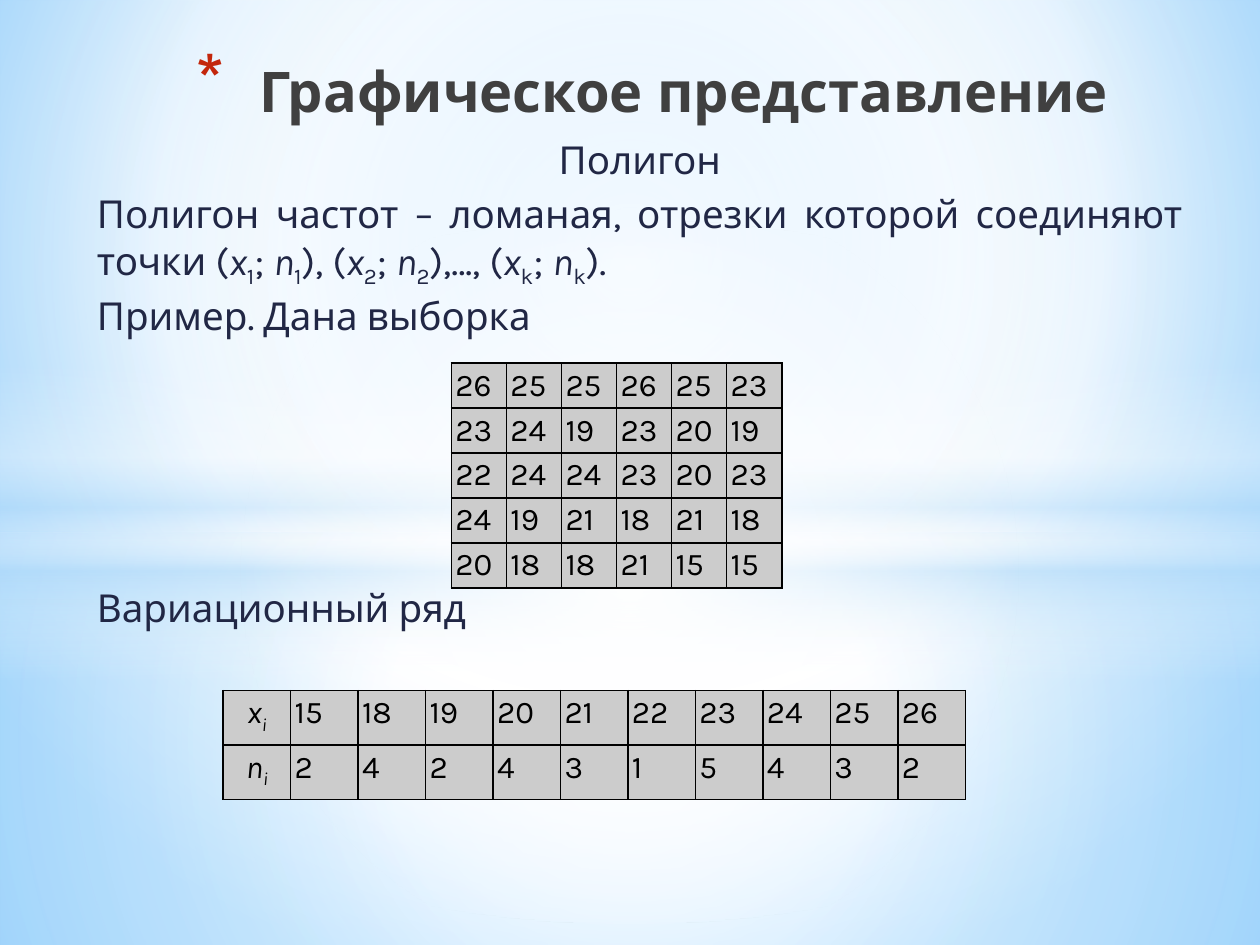
from lxml import etree
from pptx import Presentation
from pptx.dml.color import RGBColor
from pptx.enum.shapes import MSO_SHAPE
from pptx.enum.text import MSO_ANCHOR, MSO_AUTO_SIZE, PP_ALIGN
from pptx.oxml import parse_xml
from pptx.oxml.ns import nsdecls, qn
from pptx.util import Cm, Pt

RECTANGLE, OVAL = MSO_SHAPE.RECTANGLE, MSO_SHAPE.OVAL
LEFT, CENTER, JUSTIFY = PP_ALIGN.LEFT, PP_ALIGN.CENTER, PP_ALIGN.JUSTIFY
TOP, MIDDLE = MSO_ANCHOR.TOP, MSO_ANCHOR.MIDDLE
NO_AUTOFIT = MSO_AUTO_SIZE.NONE

BLACK = RGBColor(0x00, 0x00, 0x00)
WHITE = RGBColor(0xFF, 0xFF, 0xFF)
CHARCOAL = RGBColor(0x40, 0x40, 0x40)
NAVY = RGBColor(0x21, 0x27, 0x45)
RED = RGBColor(0xC3, 0x26, 0x0C)
GREY = RGBColor(0xCC, 0xCC, 0xCC)
PALE_BLUE = RGBColor(0xB4, 0xDC, 0xFA)
SKY = RGBColor(0x9E, 0xD5, 0xFF)
DEEP_SKY = RGBColor(0x5B, 0xB9, 0xFF)


def gradient(stops, focus=(50, 50, 50, 50), angle=None):
    """Gradient from (position, colour, opacity) stops, all in percent."""
    marks = "".join(
        f'<a:gs pos="{pos * 1000}"><a:srgbClr val="{color}">'
        f'<a:alpha val="{opacity * 1000}"/></a:srgbClr></a:gs>'
        for pos, color, opacity in stops)
    if angle is None:
        sides = " ".join(f'{side}="{value * 1000}"' for side, value in zip("ltrb", focus))
        direction = f'<a:path path="circle"><a:fillToRect {sides}/></a:path>'
    else:
        direction = f'<a:lin ang="{angle * 60000}" scaled="0"/>'
    return parse_xml(f'<a:gradFill {nsdecls("a")} rotWithShape="1">'
                     f'<a:gsLst>{marks}</a:gsLst>{direction}</a:gradFill>')


def write(paragraph, text, size=22, color=NAVY, font="Karla",
          bold=False, italic=False, subscript=False):
    run = paragraph.add_run()
    run.text = text
    run.font.name, run.font.size = font, Pt(size)
    run.font.bold, run.font.italic = bold, italic
    run.font.color.rgb = color
    if subscript:
        run.font._element.set("baseline", "-25000")


def write_variable(paragraph, letter, index, italic_index=False, **style):
    write(paragraph, letter, italic=True, **style)
    write(paragraph, index, italic=italic_index, subscript=True, **style)


class SlideBuilder:
    cell_style = {"size": 18, "color": BLACK}
    cell_inset = Cm(0.08)

    def __init__(self, slide):
        self.slide = slide

    def background(self, fill):
        self.slide.background.fill.gradient()
        holder = self.slide.element.find(".//" + qn("p:bgPr"))
        holder.replace(holder.find(qn("a:gradFill")), fill)

    def glow(self, preset, box, fill):
        shape = self.slide.shapes.add_shape(preset, *map(Cm, box))
        shape.shadow.inherit = False
        shape.line.fill.background()
        shape.fill.gradient()
        properties = shape.element.spPr
        properties.replace(properties.find(qn("a:gradFill")), fill)

    def placeholder(self, index, box, anchor):
        holder = self.slide.placeholders[index]
        holder.left, holder.top, holder.width, holder.height = map(Cm, box)
        frame = holder.text_frame
        frame.word_wrap, frame.auto_size = True, NO_AUTOFIT
        frame.vertical_anchor = anchor
        # Keep text in front of the glows
        self.slide.shapes.element.append(holder.element)
        return frame

    def paragraph(self, frame, align, before=4.4):
        first = not frame.paragraphs[0].runs
        paragraph = frame.paragraphs[0] if first else frame.add_paragraph()
        paragraph.alignment = align
        paragraph.line_spacing = 0.9
        paragraph.space_before = Pt(0 if first else before)
        paragraph.space_after = Pt(3)
        return paragraph

    def bullet(self, paragraph, char, color, percent, margin, indent):
        properties = paragraph._p.get_or_add_pPr()
        properties.set("marL", str(Cm(margin)))
        properties.set("indent", str(Cm(indent)))
        tint = etree.SubElement(properties, qn("a:buClr"))
        etree.SubElement(tint, qn("a:srgbClr"), val=str(color))
        etree.SubElement(properties, qn("a:buSzPct"), val=str(percent * 1000))
        etree.SubElement(properties, qn("a:buChar"), char=char)

    def table(self, rows, left, top, column_width, row_height):
        columns = len(rows[0])
        table = self.slide.shapes.add_table(
            len(rows), columns, Cm(left), Cm(top),
            Cm(column_width * columns), Cm(row_height * len(rows))).table
        table.first_row = table.horz_banding = False
        for row, values in zip(table.rows, rows):
            for cell, value in zip(row.cells, values):
                self.cell(cell, value)

    def cell(self, cell, value):
        cell.margin_left = cell.margin_right = self.cell_inset
        cell.margin_top = cell.margin_bottom = self.cell_inset
        for side in ("L", "R", "T", "B"):
            cell._tc.get_or_add_tcPr().append(parse_xml(
                f'<a:ln{side} {nsdecls("a")} w="12700"><a:solidFill>'
                f'<a:srgbClr val="{BLACK}"/></a:solidFill></a:ln{side}>'))
        cell.fill.solid()
        cell.fill.fore_color.rgb = GREY
        paragraph = cell.text_frame.paragraphs[0]
        if isinstance(value, str):
            paragraph.alignment = CENTER
            write_variable(paragraph, value, "i", italic_index=True, **self.cell_style)
        else:
            paragraph.alignment = LEFT
            write(paragraph, str(value), **self.cell_style)


def main():
    deck = Presentation()
    deck.slide_width, deck.slide_height = Cm(25.4), Cm(19.05)
    page = SlideBuilder(deck.slides.add_slide(deck.slide_layouts[0]))

    # Sky backdrop
    page.background(gradient([(0, SKY, 100), (60, WHITE, 100), (100, DEEP_SKY, 100)],
                             focus=(20, 10, 20, 60)))
    page.glow(RECTANGLE, (0, 10.74, 25.4, 8.31), gradient(
        [(0, WHITE, 91), (37, WHITE, 76), (100, PALE_BLUE, 79)]))
    page.glow(RECTANGLE, (0, 0, 25.4, 10.74), gradient(
        [(0, WHITE, 89), (48, WHITE, 62), (100, PALE_BLUE, 79)]))
    page.glow(RECTANGLE, (0, 7.37, 25.4, 6.35), gradient(
        [(0, WHITE, 0), (29, WHITE, 30), (45, PALE_BLUE, 40),
         (55, WHITE, 26), (65, PALE_BLUE, 60), (100, WHITE, 0)], angle=90))
    page.glow(OVAL, (0, 4.45, 25.4, 14.17), gradient([(0, WHITE, 100), (54, WHITE, 0)]))

    # Definition and captions
    body = page.placeholder(1, (1.7, 2.72, 22.4, 14.6), TOP)
    write(page.paragraph(body, CENTER), "Полигон")
    definition = page.paragraph(body, JUSTIFY)
    write(definition, "Полигон частот – ломаная, отрезки которой соединяют точки (")
    for index, closing in (("1", "), ("), ("2", "),…, ("), ("k", ").")):
        write_variable(definition, "x", index)
        write(definition, "; ")
        write_variable(definition, "n", index)
        write(definition, closing)
    write(page.paragraph(body, JUSTIFY), "Пример. Дана выборка")
    write(page.paragraph(body, JUSTIFY, before=140), "Вариационный ряд")

    # Title
    heading = page.paragraph(page.placeholder(0, (1.5, 0.91, 22.8, 1.8), MIDDLE), CENTER)
    heading.line_spacing, heading.space_after = 1.0, Pt(0)
    page.bullet(heading, "*", RED, 128, margin=1.78, indent=-1.27)
    write(heading, "Графическое представление", size=32, color=CHARCOAL, bold=True)

    # Sample
    sample = [
        [26, 25, 25, 26, 25, 23],
        [23, 24, 19, 23, 20, 19],
        [22, 24, 24, 23, 20, 23],
        [24, 19, 21, 18, 21, 18],
        [20, 18, 18, 21, 15, 15],
    ]
    page.table(sample, left=9.1, top=7.32, column_width=1.11, row_height=0.9)

    # Variation series
    series = [
        ["x", 15, 18, 19, 20, 21, 22, 23, 24, 25, 26],
        ["n", 2, 4, 2, 4, 3, 1, 5, 4, 3, 2],
    ]
    page.table(series, left=4.5, top=13.92, column_width=1.36, row_height=1.1)

    deck.save("out.pptx")


if __name__ == "__main__":
    main()
